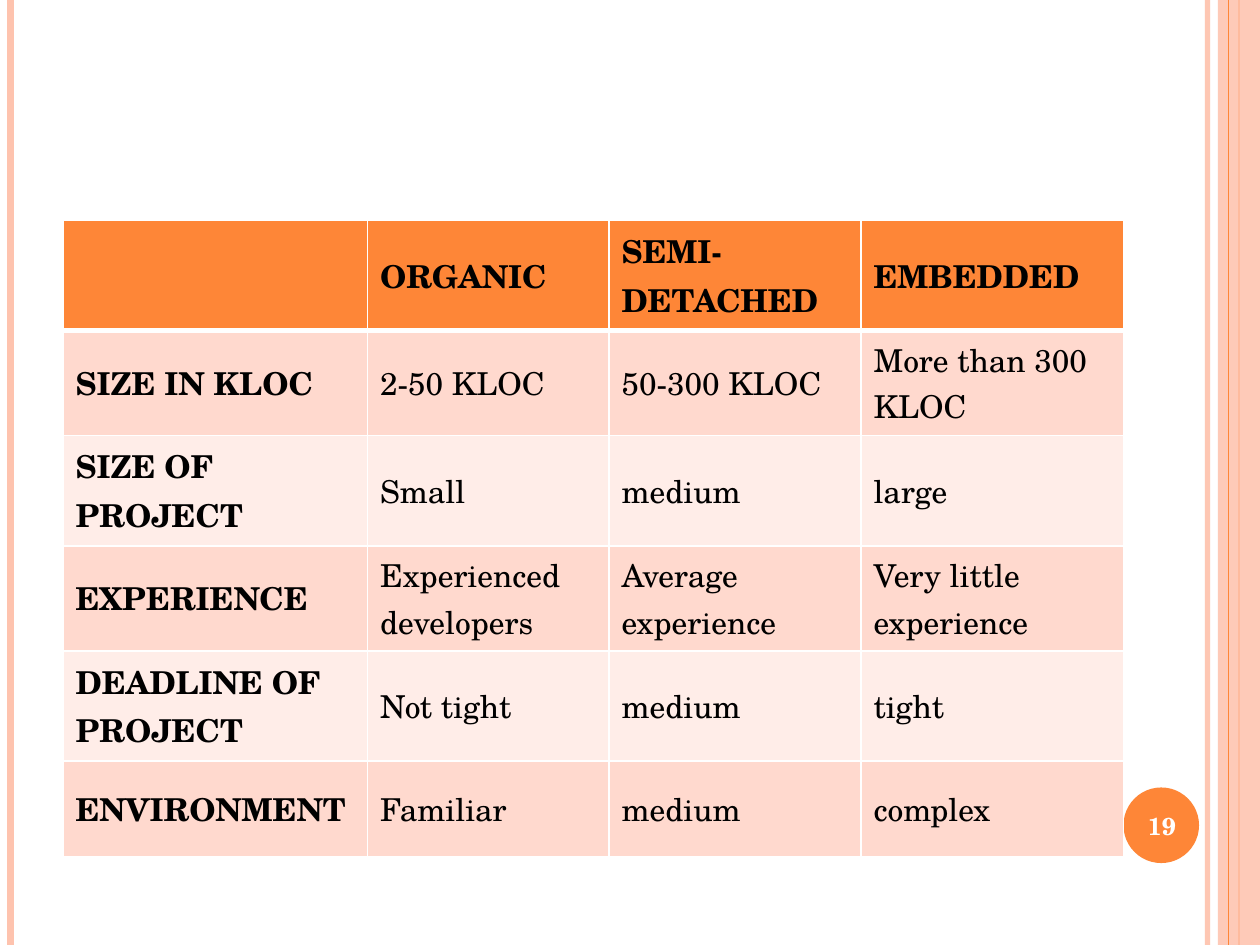
from lxml import etree
from pptx import Presentation
from pptx.dml.color import RGBColor
from pptx.enum import shapes, text
from pptx.oxml import ns
from pptx.util import Pt

FONT = "TeX Gyre Schola"
COLORS = {"orange": "FE8637", "peach": "FEC3AE", "dark_band": "FFD9CE",
          "light_band": "FFEDE8", "black": "000000", "white": "FFFFFF"}

ROWS = [
    ["", "ORGANIC", "SEMI-DETACHED", "EMBEDDED"],
    ["SIZE IN KLOC", "2-50 KLOC", "50-300 KLOC", "More than 300 KLOC"],
    ["SIZE OF PROJECT", "Small", "medium", "large"],
    ["EXPERIENCE", "Experienced developers", "Average experience", "Very little experience"],
    ["DEADLINE OF PROJECT", "Not tight", "medium", "tight"],
    ["ENVIRONMENT", "Familiar", "medium", "complex"],
]
COLUMN_WIDTHS = [174, 138, 144, 150]
ROW_HEIGHT = 55
TABLE_LEFT, TABLE_TOP = 36, 126
PAGE_NUMBER = "19"
SLIDE_WIDTH, SLIDE_HEIGHT = 720, 540

LINES_BEHIND = [(690, "peach", 3, 93), (6, "peach", 4.5, 100), (708, "orange", 1.5, 100)]
LINES_FRONT = [(702, "orange", 0.75, 100)]


def rgb(name):
    return RGBColor.from_string(COLORS[name])


def set_alpha(element, percent):
    color = element.find(".//" + ns.qn("a:srgbClr"))
    etree.SubElement(color, ns.qn("a:alpha"), val=str(percent * 1000))


def add_rule(slide, x, color, width, opacity):
    rule = slide.shapes.add_connector(
        shapes.MSO_CONNECTOR.STRAIGHT, Pt(x), Pt(0), Pt(x), Pt(SLIDE_HEIGHT))
    rule.line.color.rgb = rgb(color)
    rule.line.width = Pt(width)
    properties = rule._element.spPr
    if opacity < 100:
        set_alpha(properties, opacity)
    etree.SubElement(properties, ns.qn("a:effectLst"))


def add_plain_shape(slide, kind, color, left, top, width, height):
    shape = slide.shapes.add_shape(kind, Pt(left), Pt(top), Pt(width), Pt(height))
    shape.shadow.inherit = False
    shape.fill.solid()
    shape.fill.fore_color.rgb = rgb(color)
    shape.line.fill.background()
    return shape


def format_text(paragraph, size, color, bold):
    for run in paragraph.runs:
        run.font.name = FONT
        run.font.size = Pt(size)
        run.font.bold = bold
        run.font.color.rgb = rgb(color)


def set_borders(cell, bottom_width):
    properties = cell._tc.get_or_add_tcPr()
    for index, (side, width) in enumerate(
            [("lnL", 1), ("lnR", 1), ("lnT", 1), ("lnB", bottom_width)]):
        border = etree.Element(ns.qn("a:" + side), w=str(Pt(width)))
        fill = etree.SubElement(border, ns.qn("a:solidFill"))
        etree.SubElement(fill, ns.qn("a:srgbClr"), val=COLORS["white"])
        properties.insert(index, border)


def add_comparison_table(slide):
    table = slide.shapes.add_table(
        len(ROWS), len(COLUMN_WIDTHS), Pt(TABLE_LEFT), Pt(TABLE_TOP),
        Pt(sum(COLUMN_WIDTHS)), Pt(ROW_HEIGHT * len(ROWS))).table
    for column, width in zip(table.columns, COLUMN_WIDTHS):
        column.width = Pt(width)
    for row_index, values in enumerate(ROWS):
        table.rows[row_index].height = Pt(ROW_HEIGHT)
        is_header = row_index == 0
        band = "dark_band" if row_index % 2 else "light_band"
        for column_index, value in enumerate(values):
            cell = table.cell(row_index, column_index)
            cell.text_frame.text = value
            cell.vertical_anchor = text.MSO_ANCHOR.MIDDLE
            cell.fill.solid()
            cell.fill.fore_color.rgb = rgb("orange" if is_header else band)
            set_borders(cell, 3 if is_header else 1)
            format_text(cell.text_frame.paragraphs[0], 18, "black",
                        is_header or column_index == 0)


def add_page_number(slide):
    box = slide.shapes.add_textbox(Pt(640), Pt(451.5), Pt(48), Pt(41))
    frame = box.text_frame
    frame.word_wrap = True
    frame.vertical_anchor = text.MSO_ANCHOR.MIDDLE
    frame.text = PAGE_NUMBER
    paragraph = frame.paragraphs[0]
    paragraph.alignment = text.PP_ALIGN.CENTER
    format_text(paragraph, 14, "white", True)


def main():
    presentation = Presentation()
    presentation.slide_width = Pt(SLIDE_WIDTH)
    presentation.slide_height = Pt(SLIDE_HEIGHT)
    slide = presentation.slides.add_slide(presentation.slide_layouts[6])
    for line in LINES_BEHIND:
        add_rule(slide, *line)
    band = add_plain_shape(slide, shapes.MSO_SHAPE.RECTANGLE, "peach",
                           696, 0, 24, SLIDE_HEIGHT)
    set_alpha(band._element.spPr, 87)
    for line in LINES_FRONT:
        add_rule(slide, *line)
    add_plain_shape(slide, shapes.MSO_SHAPE.OVAL, "orange", 642, 450, 43.2, 43.2)
    add_comparison_table(slide)
    add_page_number(slide)
    presentation.save("out.pptx")


if __name__ == "__main__":
    main()
